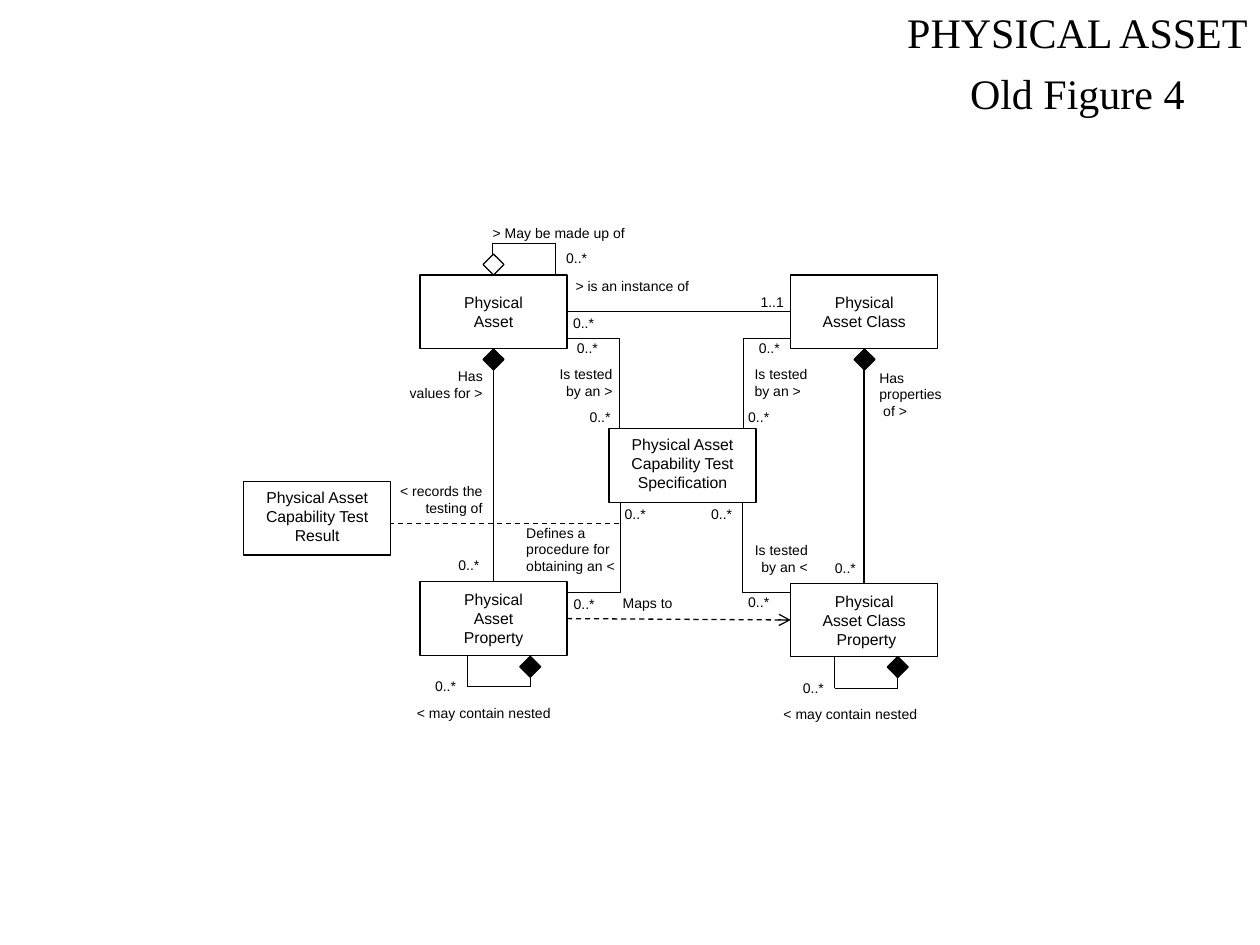
from itertools import pairwise
from typing import NamedTuple

from lxml import etree
from pptx import Presentation
from pptx.dml.color import RGBColor
from pptx.enum.dml import MSO_LINE
from pptx.enum.shapes import MSO_CONNECTOR, MSO_SHAPE
from pptx.enum.text import MSO_ANCHOR, MSO_AUTO_SIZE, PP_ALIGN
from pptx.oxml.ns import qn
from pptx.util import Pt

BLACK = RGBColor(0, 0, 0)
WHITE = RGBColor(255, 255, 255)
STRAIGHT = MSO_CONNECTOR.STRAIGHT
RECTANGLE, DIAMOND = MSO_SHAPE.RECTANGLE, MSO_SHAPE.DIAMOND
LEFT, CENTER, RIGHT = PP_ALIGN.LEFT, PP_ALIGN.CENTER, PP_ALIGN.RIGHT
MIDDLE, TOP = MSO_ANCHOR.MIDDLE, MSO_ANCHOR.TOP
GROW, DASH = MSO_AUTO_SIZE.SHAPE_TO_FIT_TEXT, MSO_LINE.DASH

LINE_WIDTH = 0.75
BOX_WIDTH, BOX_HEIGHT = 84, 42
DIAMOND_SIZE = 12
LOOP_WIDTH, LOOP_HEIGHT = 36, 18
COUNT_WIDTH = 26.6
SIDE_BOTTOM, SIDE_TOP, SIDE_LEFT, SIDE_RIGHT = 2, 0, 1, 3


class Entity(NamedTuple):
    name: str
    left: float
    top: float
    inset_top: float = 3.6


class Label(NamedTuple):
    text: str
    left: float
    top: float
    width: float = COUNT_WIDTH
    align: PP_ALIGN = LEFT


class Loop(NamedTuple):
    left: float
    edge: float
    height: float


class Marker(NamedTuple):
    left: float
    top: float
    fill: RGBColor = BLACK


ASSET = Entity("Physical\nAsset", 240, 157.1)
ASSET_CLASS = Entity("Physical\nAsset Class", 451.8, 157.1)
PROPERTY = Entity("Physical\nAsset\nProperty", 240, 332.5)
CLASS_PROPERTY = Entity("Physical\nAsset Class\n Property", 451.8, 333.3)
SPECIFICATION = Entity("Physical Asset\nCapability Test\nSpecification", 348, 245, 1.4)
RESULT = Entity("Physical Asset\nCapability Test\nResult", 139.2, 275.2, 1.4)
ENTITIES = [ASSET, ASSET_CLASS, PROPERTY, CLASS_PROPERTY, SPECIFICATION, RESULT]

# Elbows between the specification and its four neighbours
ELBOWS = [
    [(354.2, 245), (354.2, 193.6), (324, 193.6)],
    [(424.8, 245), (424.8, 193.6), (452, 193.6)],
    [(354.6, 287), (354.6, 338.4), (324, 338.4)],
    [(424.4, 287), (424.4, 338.4), (452, 338.4)],
]

LOOPS = [Loop(281.6, 157.1, -LOOP_HEIGHT), Loop(267, 374.5, LOOP_HEIGHT),
         Loop(477, 375.3, LOOP_HEIGHT)]

MARKERS = [Marker(276, 145.2, WHITE), Marker(276, 199.4), Marker(488, 199.4),
           Marker(297, 375), Marker(507, 375.2)]

LABELS = [
    # Around the specification
    Label("Is tested\nby an >", 424.1, 205.2, 45.4),
    Label("Is tested\nby an >", 311.8, 205.2, 45.4, RIGHT),
    Label("Is tested\nby an <", 423.4, 306, 45.4, RIGHT),
    Label("Defines a\nprocedure for\nobtaining an <", 293.6, 296, 65.5),
    Label("0..*", 349.9, 285.1),
    Label("0..*", 399.3, 285.1),
    Label("0..*", 420.5, 335.5),
    Label("0..*", 320.7, 336.9),
    Label("0..*", 322.2, 190.4, align=RIGHT),
    Label("0..*", 426.2, 190.4, align=RIGHT),
    Label("0..*", 329.8, 229.7),
    Label("0..*", 420.5, 229.7),
    # Between assets, classes and properties
    Label("0..*", 316.1, 138.9, align=RIGHT),
    Label("> May be made up of", 273.6, 124.6, 90.7, RIGHT),
    Label("> is an instance of", 321.8, 154.8, 79.9),
    Label("0..*", 320.4, 176.2),
    Label("1..1", 427.5, 164, 28.1),
    Label("Has\nvalues for >", 226.8, 206.6, 56.2, RIGHT),
    Label("Has\nproperties\n of >", 495.4, 207.4, 50.4),
    Label("0..*", 254.9, 314.6),
    Label("0..*", 470, 316.1),
    Label("Maps to", 348.5, 336.2, 43.2, CENTER),
    Label("< records the\ntesting of", 221, 272.2, 61.9, RIGHT),
    # Nested properties
    Label("0..*", 241.2, 383.8, align=RIGHT),
    Label("< may contain nested", 229.7, 398.9, 92.2, RIGHT),
    Label("0..*", 451.4, 384.5, align=RIGHT),
    Label("< may contain nested", 439.2, 399.6, 92.2, RIGHT),
]


def write(shape, text: str, *, size=8, font="Arial", align=LEFT, anchor=TOP):
    frame = shape.text_frame
    frame.word_wrap = False
    frame.vertical_anchor = anchor
    for index, line in enumerate(text.split("\n")):
        paragraph = frame.add_paragraph() if index else frame.paragraphs[0]
        paragraph.alignment = align
        run = paragraph.add_run()
        run.text = line
        run.font.name, run.font.size = font, Pt(size)
        run.font.color.rgb = BLACK


def add_text(slide, left, top, width, height, text: str, **text_format):
    shape = slide.shapes.add_textbox(Pt(left), Pt(top), Pt(width), Pt(height))
    write(shape, text, **text_format)
    shape.text_frame.auto_size = GROW


def outline(line):
    line.color.rgb = BLACK
    line.width = Pt(LINE_WIDTH)


def add_filled(slide, kind, left, top, width, height, fill: RGBColor):
    shape = slide.shapes.add_shape(kind, Pt(left), Pt(top), Pt(width), Pt(height))
    shape.shadow.inherit = False
    shape.fill.solid()
    shape.fill.fore_color.rgb = fill
    outline(shape.line)
    return shape


def add_entity(slide, entity: Entity):
    shape = add_filled(slide, RECTANGLE, entity.left, entity.top,
                       BOX_WIDTH, BOX_HEIGHT, WHITE)
    shape.text_frame.margin_top = Pt(entity.inset_top)
    write(shape, entity.name, size=9, align=CENTER, anchor=MIDDLE)
    return shape


def add_line(slide, start=(0, 0), end=(0, 0), dashed=False):
    line = slide.shapes.add_connector(STRAIGHT, *map(Pt, (*start, *end)))
    outline(line.line)
    if dashed:
        line.line.dash_style = DASH
    etree.SubElement(line.element.spPr, qn("a:effectLst"))
    return line


def join(slide, first, first_side: int, second, second_side: int, dashed=False):
    line = add_line(slide, dashed=dashed)
    line.begin_connect(first, first_side)
    line.end_connect(second, second_side)
    return line


def add_elbow(slide, points: list):
    start, *rest = [(Pt(x), Pt(y)) for x, y in points]
    builder = slide.shapes.build_freeform(*start)
    builder.add_line_segments(rest, close=False)
    shape = builder.convert_to_shape()
    shape.shadow.inherit = False
    shape.fill.background()
    outline(shape.line)


def add_loop(slide, loop: Loop):
    right, far = loop.left + LOOP_WIDTH, loop.edge + loop.height
    corners = [(loop.left, loop.edge), (loop.left, far), (right, far), (right, loop.edge)]
    for start, end in pairwise(corners):
        add_line(slide, start, end)


def main():
    presentation = Presentation()
    presentation.slide_width, presentation.slide_height = Pt(720), Pt(540)
    slide = presentation.slides.add_slide(presentation.slide_layouts[6])

    # Entities and their relations
    boxes = {entity: add_entity(slide, entity) for entity in ENTITIES}
    join(slide, boxes[ASSET], SIDE_RIGHT, boxes[ASSET_CLASS], SIDE_LEFT)
    join(slide, boxes[ASSET], SIDE_BOTTOM, boxes[PROPERTY], SIDE_TOP)
    join(slide, boxes[ASSET_CLASS], SIDE_BOTTOM, boxes[CLASS_PROPERTY], SIDE_TOP)
    mapping = join(slide, boxes[PROPERTY], SIDE_RIGHT,
                   boxes[CLASS_PROPERTY], SIDE_LEFT, dashed=True)
    etree.SubElement(mapping.line._get_or_add_ln(), qn("a:tailEnd"), type="arrow")
    add_line(slide, (354, 299.2), (RESULT.left + BOX_WIDTH, 299.2), dashed=True)
    for points in ELBOWS:
        add_elbow(slide, points)

    # Self-relations and aggregation diamonds
    for loop in LOOPS:
        add_loop(slide, loop)
    for marker in MARKERS:
        add_filled(slide, DIAMOND, marker.left, marker.top,
                   DIAMOND_SIZE, DIAMOND_SIZE, marker.fill)

    # Labels, with a height that follows the number of lines
    for label in LABELS:
        height = 7.5 + 9.5 * (label.text.count("\n") + 1)
        add_text(slide, label.left, label.top, label.width, height,
                 label.text, align=label.align)

    # Headings
    heading = {"size": 24, "font": "Times New Roman"}
    add_text(slide, 508.3, 0, 211.7, 36, "PHYSICAL ASSET", align=RIGHT, **heading)
    add_text(slide, 547.2, 35.3, 138.2, 36, "Old Figure 4", **heading)

    presentation.save("out.pptx")


if __name__ == "__main__":
    main()
